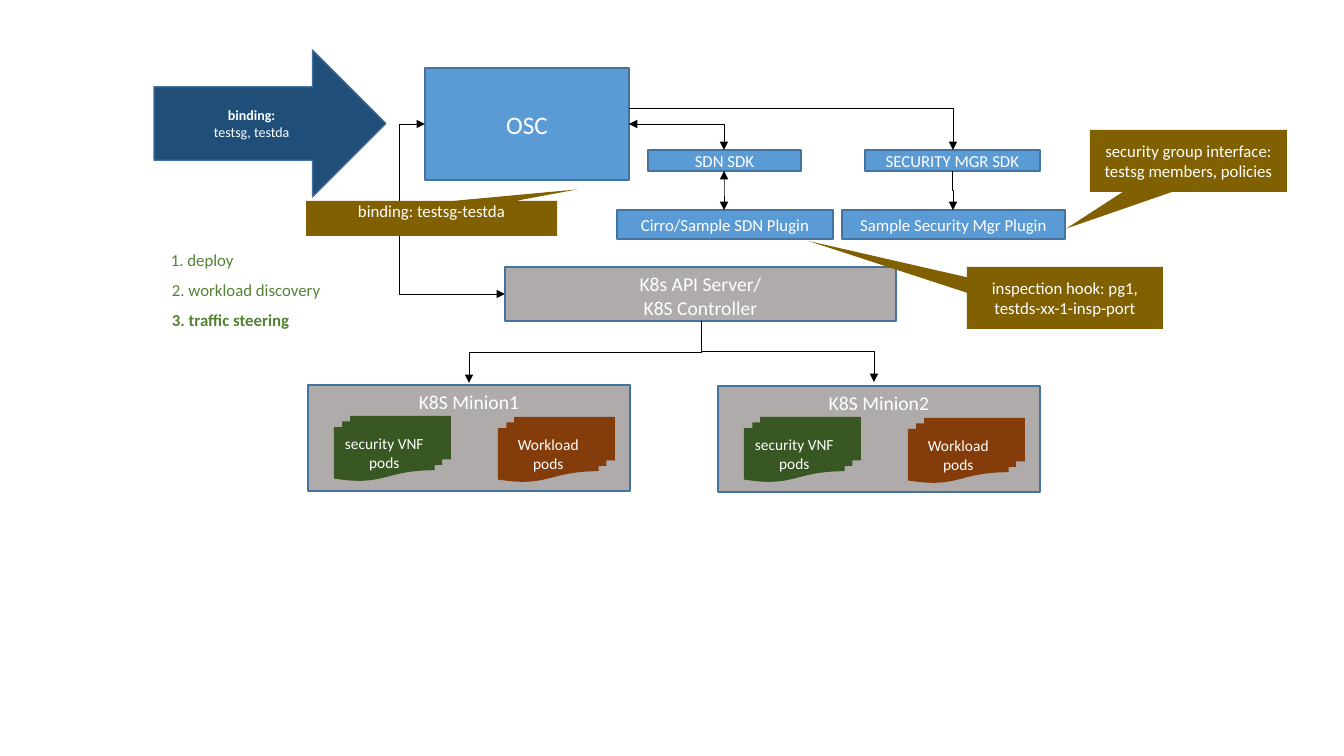
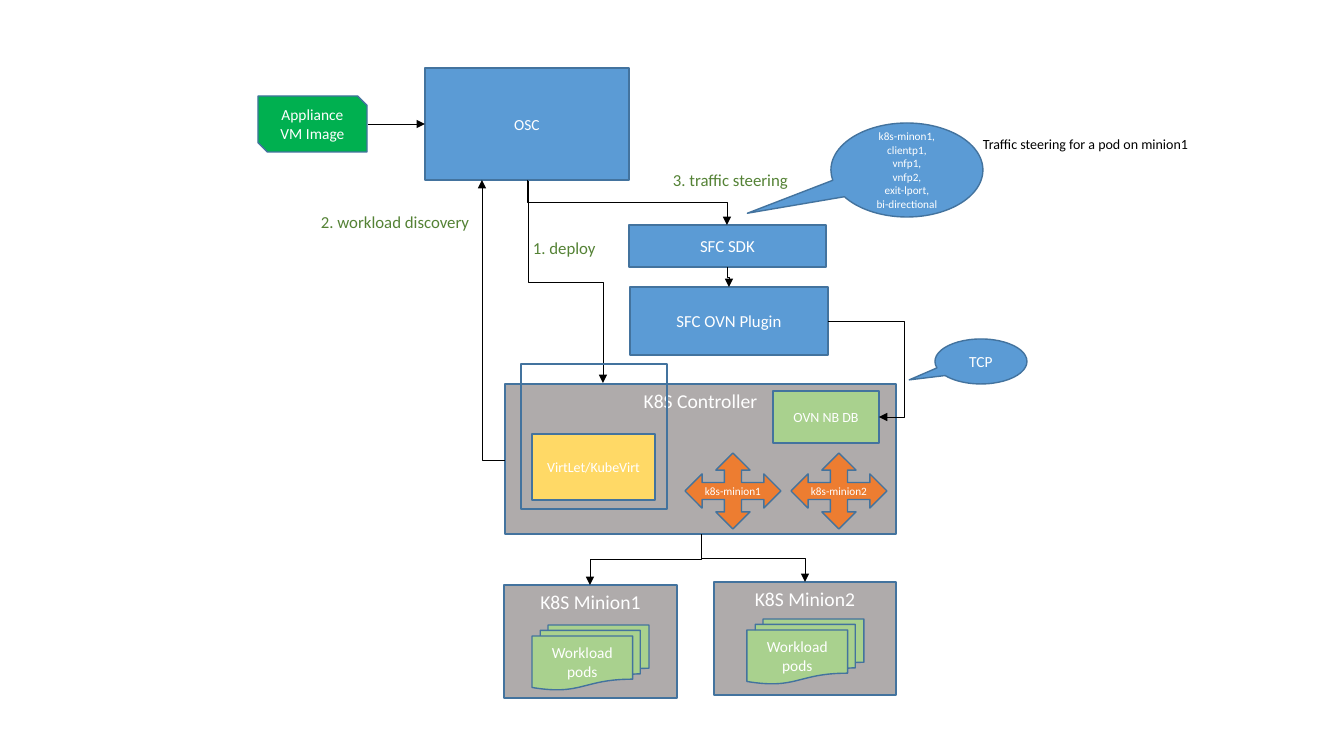
"""Build two network security architecture slides from typed diagram elements."""
import dataclasses
import typing

import lxml.etree
import pptx
import pptx.dml.color
import pptx.enum.shapes
import pptx.enum.text
import pptx.oxml.ns
import pptx.slide
import pptx.text.text
import pptx.util

EMU_PER_PIXEL = 914400 / 100.8
FONT = "Calibri"
WHITE, BLACK, OUTLINE = "FFFFFF", "000000", "43739E"
BLUE, GRAY, NAVY, OLIVE = "5B9BD5", "AFABAB", "1F4E79", "806000"
BROWN, FOREST, LIME, STEP_GREEN = "843C0B", "385723", "A9D18E", "548235"
EMERALD, YELLOW, ORANGE = "00B050", "FFD966", "ED7D31"

Kind = pptx.enum.shapes.MSO_SHAPE
Anchor = pptx.enum.text.MSO_ANCHOR
Point = tuple[int, int]
Frame = tuple[int, int, int, int]


@dataclasses.dataclass(frozen=True)
class Box:
    """A preset shape with centred text."""

    frame: Frame
    lines: tuple[str, ...] = ()
    size: int = 12
    fill: str | None = BLUE
    kind: Kind = Kind.RECTANGLE
    outline: str | None = OUTLINE
    anchor: Anchor = Anchor.MIDDLE
    adjustments: tuple[float, ...] = ()
    bold_first: bool = False
    margin_top: int = 5


@dataclasses.dataclass(frozen=True)
class Label:
    """A free text line."""

    frame: Frame
    text: str
    size: int = 12
    color: str = STEP_GREEN
    bold: bool = False
    wrap: bool = False


@dataclasses.dataclass(frozen=True)
class Arrow:
    """A bent connector; bend is None for a single corner."""

    start: Point
    end: Point
    vertical: bool = True
    bend: float | None = 0.5
    both_ways: bool = False


Element = Box | Label | Arrow


def pixels(length: float) -> pptx.util.Emu:
    """Turn pixels into EMU."""
    return pptx.util.Emu(round(length * EMU_PER_PIXEL))


def rgb(value: str) -> pptx.dml.color.RGBColor:
    """Turn a hex string into a colour."""
    return pptx.dml.color.RGBColor.from_string(value)


def add_run(
    paragraph: pptx.text.text._Paragraph, text: str, size: int, color: str, bold: bool
) -> None:
    """Add one formatted run."""
    run = paragraph.add_run()
    run.text = text
    run.font.name = FONT
    run.font.size = pptx.util.Pt(size)
    run.font.bold = bold
    run.font.color.rgb = rgb(color)


def draw_box(slide: pptx.slide.Slide, box: Box) -> None:
    """Draw a preset shape and its text."""
    shape = slide.shapes.add_shape(box.kind, *map(pixels, box.frame))
    shape.shadow.inherit = False
    for index, value in enumerate(box.adjustments):
        shape.adjustments[index] = value
    if box.fill:
        shape.fill.solid()
        shape.fill.fore_color.rgb = rgb(box.fill)
    else:
        shape.fill.background()
    if box.outline:
        shape.line.color.rgb = rgb(box.outline)
        shape.line.width = pptx.util.Pt(1)
    else:
        shape.line.fill.background()
    text_frame = shape.text_frame
    text_frame.word_wrap = True
    text_frame.vertical_anchor = box.anchor
    text_frame.margin_top = pixels(box.margin_top)
    for index, line in enumerate(box.lines):
        paragraph = text_frame.add_paragraph() if index else text_frame.paragraphs[0]
        paragraph.alignment = pptx.enum.text.PP_ALIGN.CENTER
        add_run(paragraph, line, box.size, WHITE, box.bold_first and index == 0)


def draw_label(slide: pptx.slide.Slide, label: Label) -> None:
    """Draw a text box."""
    text_frame = slide.shapes.add_textbox(*map(pixels, label.frame)).text_frame
    text_frame.word_wrap = label.wrap
    text_frame.auto_size = pptx.enum.text.MSO_AUTO_SIZE.SHAPE_TO_FIT_TEXT
    add_run(text_frame.paragraphs[0], label.text, label.size, label.color, label.bold)


def draw_arrow(slide: pptx.slide.Slide, arrow: Arrow) -> None:
    """Draw a bent connector, turned a quarter when it leaves vertically."""
    (left, top), (right, bottom) = arrow.start, arrow.end
    ends: tuple[float, ...] = (left, top, right, bottom)
    if arrow.vertical:
        center_x, center_y = (left + right) / 2, (top + bottom) / 2
        half_x, half_y = (right - left) / 2, (bottom - top) / 2
        ends = (
            center_x - half_y, center_y + half_x,
            center_x + half_y, center_y - half_x,
        )
    connector = slide.shapes.add_connector(
        pptx.enum.shapes.MSO_CONNECTOR.ELBOW, *map(pixels, ends)
    )
    connector.line.color.rgb = rgb(BLACK)
    connector.line.width = pptx.util.Pt(0.5)
    qualified = pptx.oxml.ns.qn
    properties = connector.element.find(qualified("p:spPr"))
    if arrow.vertical:
        properties.find(qualified("a:xfrm")).set("rot", str(90 * 60000))
    geometry = properties.find(qualified("a:prstGeom"))
    if arrow.bend is None:
        geometry.set("prst", "bentConnector2")
    else:
        values = geometry.find(qualified("a:avLst"))
        formula = f"val {round(arrow.bend * 100000)}"
        lxml.etree.SubElement(values, qualified("a:gd"), name="adj1", fmla=formula)
    line = properties.find(qualified("a:ln"))
    for tag in ("a:headEnd", "a:tailEnd") if arrow.both_ways else ("a:tailEnd",):
        lxml.etree.SubElement(line, qualified(tag), type="triangle")
    lxml.etree.SubElement(properties, qualified("a:effectLst"))


def host(frame: Frame, *lines: str) -> Box:
    """Describe a gray cluster box with its title on top."""
    return Box(frame, lines, 14, GRAY, anchor=Anchor.TOP)


def controller(size: int) -> Box:
    """Describe the OSC box that both slides share."""
    return Box((425, 68, 204, 112), ("OSC",), size)


def pods(left: int, top: int, text: str, fill: str, outline: str | None) -> Box:
    """Describe a stack of pods."""
    return Box((left, top, 117, 65), (text,), 11, fill, Kind.FLOWCHART_MULTIDOCUMENT, outline)


def note(
    frame: Frame, text: str, tip: tuple[float, float],
    anchor: Anchor = Anchor.MIDDLE, margin_top: int = 5,
) -> Box:
    """Describe an olive callout."""
    return Box(
        frame, (text,), 12, OLIVE, Kind.RECTANGULAR_CALLOUT, None, anchor, tip,
        margin_top=margin_top,
    )


def minion(left: int, top: int, name: str) -> list[Element]:
    """Describe a minion that runs workload and security pods."""
    return [
        host((left, top, 322, 106), name),
        pods(left + 190, top + 32, "Workload pods", BROWN, None),
        pods(left + 26, top + 31, "security VNF pods", FOREST, None),
    ]


def binding_elements() -> list[Element]:
    """List the elements of the binding slide from back to front."""
    return [
        host((505, 267, 391, 54), "K8s API Server/", "K8S Controller"),
        controller(18),
        Box((648, 150, 153, 21), ("SDN SDK",)),
        Box((617, 210, 216, 29), ("Cirro/Sample SDN Plugin",)),
        Arrow((701, 321), (469, 383)),
        Arrow((701, 321), (874, 382)),
        Label((161, 245, 86, 30), "1. deploy"),
        Label((162, 275, 174, 30), "2. workload discovery"),
        Label((162, 305, 140, 30), "3. traffic steering", bold=True),
        Arrow((425, 124), (505, 294), False, -0.32, True),
        Arrow((629, 124), (724, 150), False, None, True),
        Box((865, 150, 175, 21), ("SECURITY MGR SDK",)),
        Box((842, 210, 223, 29), ("Sample Security Mgr Plugin",)),
        Arrow((952, 171), (953, 210)),
        Arrow((629, 108), (953, 150), False, 1.0),
        Arrow((724, 171), (724, 210), both_ways=True),
        Box(
            (154, 50, 232, 147), ("binding:", "testsg, testda"), 10, NAVY,
            Kind.RIGHT_ARROW, bold_first=True,
        ),
        note((306, 201, 251, 35), "binding: testsg-testda", (0.58, -0.83), Anchor.TOP, 0),
        note(
            (967, 267, 196, 62), "inspection hook: pg1, testds-xx-1-insp-port",
            (-1.31, -0.92),
        ),
        *minion(308, 385, "K8S Minion1"),
        *minion(718, 386, "K8S Minion2"),
        note(
            (1090, 130, 197, 62), "security group interface: testsg members, policies",
            (-0.62, 1.09),
        ),
    ]


def steering_elements() -> list[Element]:
    """List the elements of the traffic steering slide from back to front."""
    route = ("k8s-minon1, clientp1,", "vnfp1,", "vnfp2,", "exit-lport,", "bi-directional")
    return [
        host((505, 384, 391, 150), "K8S Controller"),
        controller(11),
        Box((629, 225, 197, 42), ("SFC SDK",)),
        Box((630, 287, 198, 68), ("SFC OVN Plugin",)),
        Box((773, 391, 106, 52), ("OVN NB DB",), 10, LIME),
        host((504, 585, 173, 113), "K8S Minion1"),
        host((714, 582, 182, 113), "K8S Minion2"),
        Arrow((701, 534), (590, 585)),
        Arrow((701, 534), (805, 582)),
        Arrow((527, 180), (727, 225)),
        Arrow((727, 267), (729, 287)),
        Box(
            (258, 96, 109, 56), ("Appliance VM Image",), 11, EMERALD,
            Kind.SNIP_2_DIAG_RECTANGLE,
        ),
        Arrow((368, 124), (425, 124), False),
        Arrow((505, 460), (482, 180), False, None),
        Arrow((828, 321), (879, 417), False, 1.5),
        Label((663, 165, 137, 30), "3. traffic steering"),
        Label((311, 207, 170, 30), "2. workload discovery"),
        Box((532, 434, 123, 66), ("VirtLet/KubeVirt",), 10, YELLOW),
        Arrow((528, 181), (603, 383)),
        Label((523, 233, 88, 30), "1. deploy"),
        Box((521, 364, 146, 145), fill=None),
        pods(532, 625, "Workload pods", LIME, OUTLINE),
        pods(747, 619, "Workload pods", LIME, OUTLINE),
        Box(
            (935, 339, 92, 45), ("TCP",), 11, kind=Kind.OVAL_CALLOUT,
            adjustments=(-0.78, 0.41),
        ),
        Box(
            (831, 123, 152, 94), route, 8, kind=Kind.OVAL_CALLOUT,
            adjustments=(-1.05, 0.46),
        ),
        Label(
            (973, 131, 243, 27), "Traffic steering for a pod on minion1", 10, BLACK, wrap=True
        ),
        *(
            Box((685 + 106 * index, 453, 96, 76), (f"k8s-minion{index + 1}",), 8, ORANGE,
                Kind.QUAD_ARROW)
            for index in range(2)
        ),
    ]


def main() -> None:
    """Build and save the presentation."""
    presentation = pptx.Presentation()
    presentation.slide_width = pixels(1344)
    presentation.slide_height = pixels(756)
    draw: dict[type, typing.Callable[..., None]] = {
        Box: draw_box, Label: draw_label, Arrow: draw_arrow,
    }
    for elements in (binding_elements(), steering_elements()):
        slide = presentation.slides.add_slide(presentation.slide_layouts[6])
        for element in elements:
            draw[type(element)](slide, element)
    presentation.save("out.pptx")


main()
